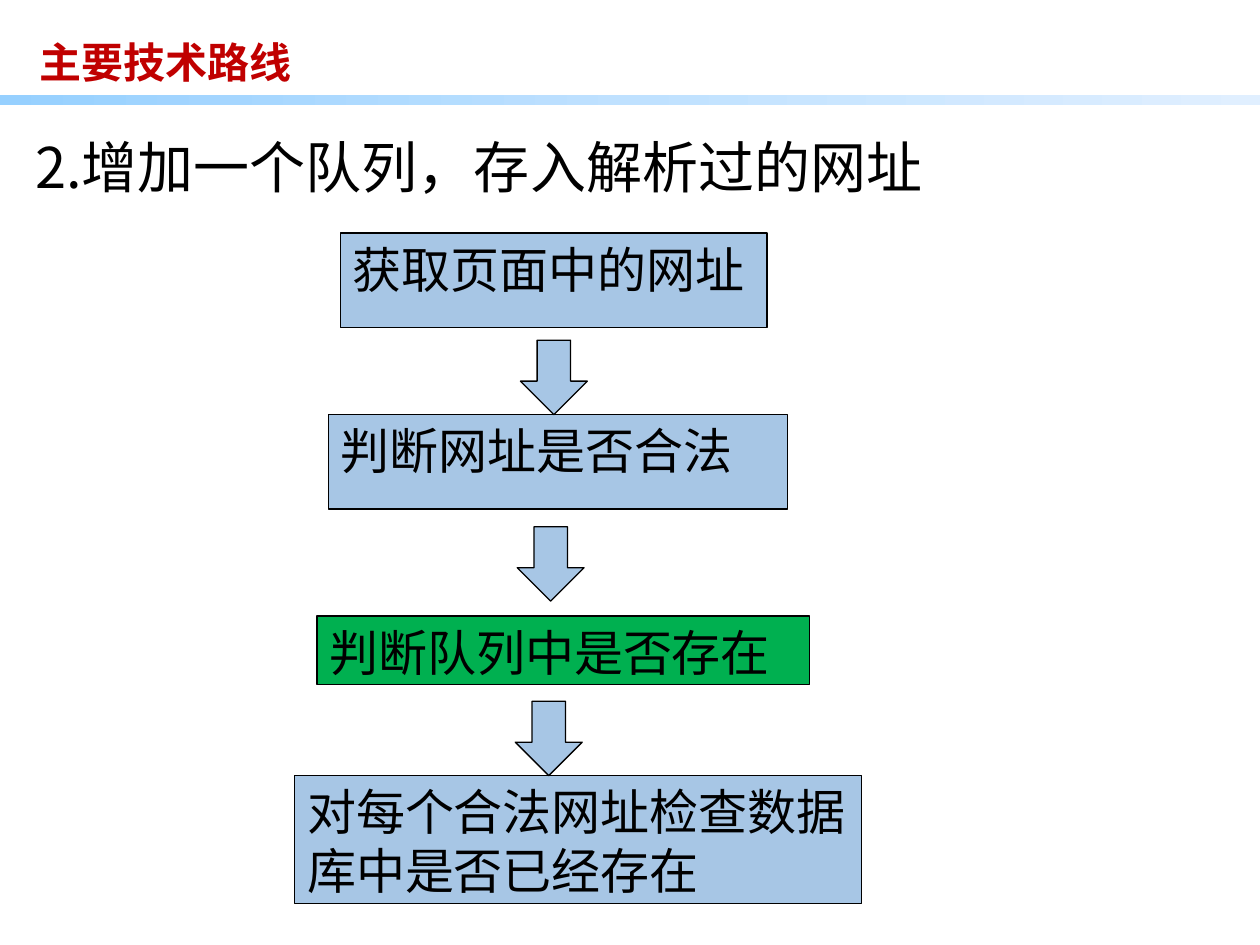
from copy import deepcopy
from dataclasses import dataclass

from lxml.etree import SubElement
from pptx import Presentation
from pptx.dml.color import RGBColor
from pptx.enum.shapes import MSO_SHAPE as Shape
from pptx.enum.text import MSO_ANCHOR as Anchor, MSO_AUTO_SIZE as AutoSize, PP_ALIGN as Align
from pptx.oxml.ns import qn
from pptx.util import Pt

CJK = "Noto Sans CJK SC"
BLUE, GREEN, BLACK = "A7C6E5", "00B050", "000000"
ARROW_W, ARROW_H = 38.2, 42.5


@dataclass
class Step:
    """A box of the flow, in points."""
    text: str
    left: float
    top: float
    width: float
    height: float
    fill: str = BLUE


@dataclass
class Arrow:
    """A down arrow between two steps, in points."""
    center: float
    top: float


STEPS = [
    Step("获取页面中的网址", 194.4, 133.2, 244, 54),
    Step("判断网址是否合法", 187.7, 236.9, 262.2, 54),
    Step("判断队列中是否存在", 181.2, 352, 281.5, 39),
    Step("对每个合法网址检查数据库中是否已经存在", 168.5, 443, 324, 73.4),
]
STEPS[2].fill = GREEN
ARROWS = [Arrow(316.5, 194.4), Arrow(314.7, 301), Arrow(313.6, 400.7)]


def rgb(color: str) -> RGBColor:
    """Turn a hex string into a colour."""
    return RGBColor.from_string(color)


def write(s, text: str, size: float, font: str, color: str = BLACK, bold: bool = False) -> None:
    """Put one left-aligned paragraph at the top of a shape."""
    tf = s.text_frame
    tf.word_wrap = True
    tf.vertical_anchor = Anchor.TOP
    tf.auto_size = AutoSize.NONE
    p = tf.paragraphs[0]
    p.text = text
    p.alignment = Align.LEFT
    p.font.size = Pt(size)
    p.font.bold = bold
    p.font.color.rgb = rgb(color)
    p.font.name = font
    props = p._p.pPr.find(qn("a:defRPr"))
    SubElement(props, qn("a:ea")).set("typeface", CJK)


def add_block(kind, left: float, top: float, width: float, height: float, fill: str):
    """Add a filled shape with a thin black outline."""
    s = slide.shapes.add_shape(kind, Pt(left), Pt(top), Pt(width), Pt(height))
    s.shadow.inherit = False
    s.fill.solid()
    s.fill.fore_color.rgb = rgb(fill)
    s.line.color.rgb = rgb(BLACK)
    s.line.width = Pt(0.75)
    return s


def add_bar(colors: list[str]) -> None:
    """Add the rule under the title, shaded evenly through three colours."""
    s = slide.shapes.add_shape(Shape.RECTANGLE, 0, Pt(54), prs.slide_width, Pt(5.8))
    s.shadow.inherit = False
    s.line.fill.background()
    s.fill.gradient()
    s.fill.gradient_angle = 0
    first = s._element.spPr.find(".//" + qn("a:gs"))
    first.addnext(deepcopy(first))
    for i, (stop, color) in enumerate(zip(s.fill.gradient_stops, colors)):
        stop.position = i / (len(colors) - 1)
        stop.color.rgb = rgb(color)


prs = Presentation()
prs.slide_width, prs.slide_height = Pt(720), Pt(540)
slide = prs.slides.add_slide(prs.slide_layouts[5])

title = slide.shapes.title
title.left, title.top, title.width, title.height = Pt(15.1), Pt(17.3), Pt(498), Pt(36)
write(title, "主要技术路线", 24, CJK, "C00000", bold=True)

add_bar(["96D0FF", "BFE1FF", "E0EFFF"])

heading = slide.shapes.add_textbox(Pt(13), Pt(72), Pt(545), Pt(46))
write(heading, "2.增加一个队列，存入解析过的网址", 32, CJK)

for step in STEPS:
    box = add_block(Shape.RECTANGLE, step.left, step.top, step.width, step.height, step.fill)
    write(box, step.text, 28, "Arial")

for arrow in ARROWS:
    add_block(Shape.DOWN_ARROW, arrow.center - ARROW_W / 2, arrow.top, ARROW_W, ARROW_H, BLUE)

prs.save("out.pptx")
